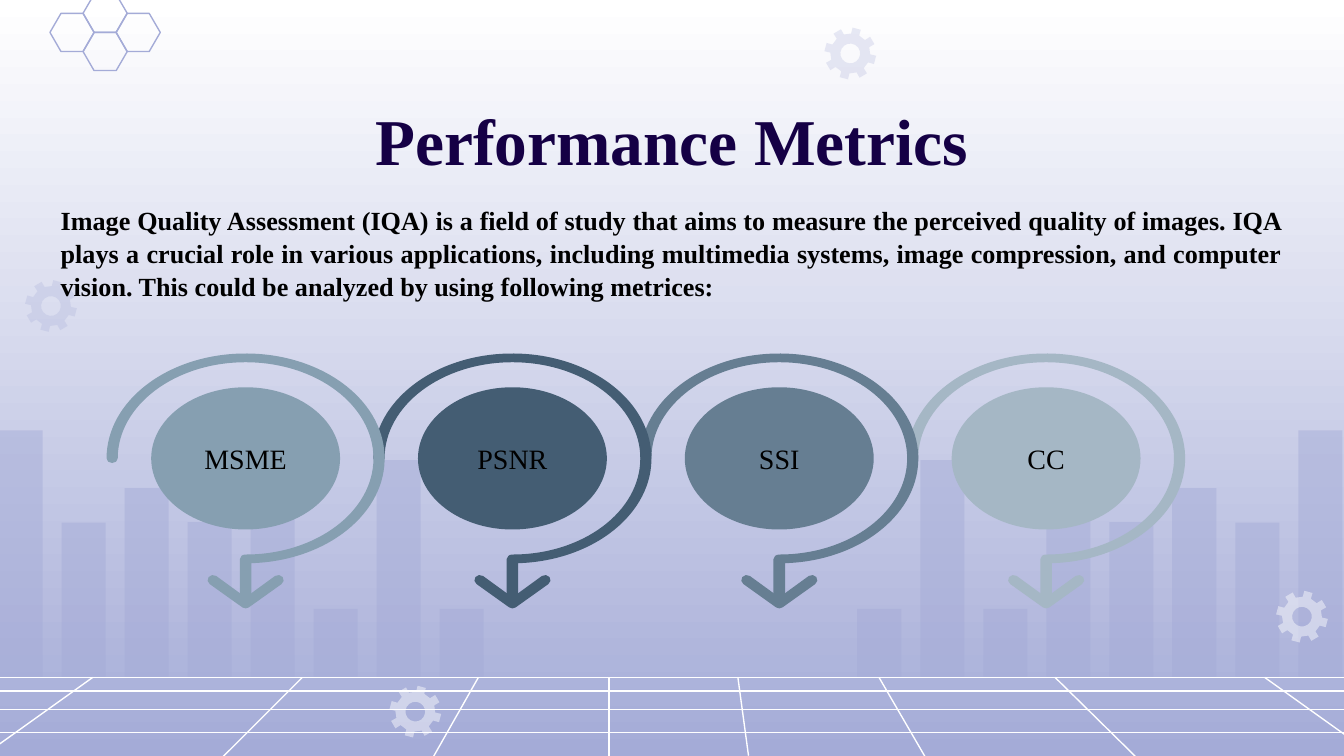
import math

import lxml.etree
import pptx
import pptx.dml.color
import pptx.enum.shapes
import pptx.enum.text
import pptx.oxml.ns
import pptx.util

Pt = pptx.util.Pt
qn = pptx.oxml.ns.qn
Shape = pptx.enum.shapes.MSO_SHAPE
Align = pptx.enum.text.PP_ALIGN
Anchor = pptx.enum.text.MSO_ANCHOR

LAVENDER = "A4ABD7"
WHITE = "FFFFFF"
FONT = "Times New Roman"


def color(hex_string):
    return pptx.dml.color.RGBColor.from_string(hex_string)


def paint(shape, fill, alpha=100):
    shape.shadow.inherit = False
    shape.line.fill.background()
    shape.fill.solid()
    shape.fill.fore_color.rgb = color(fill)
    if alpha < 100:
        tint = shape.fill._xPr.find(qn("a:solidFill"))[0]
        lxml.etree.SubElement(tint, qn("a:alpha"), val=str(alpha * 1000))


def polar(cx, cy, rx, ry, degrees):
    angle = math.radians(degrees)
    return cx + rx * math.cos(angle), cy + ry * math.sin(angle)


def arc(cx, cy, rx, ry, start, end):
    pieces = math.ceil(abs(end - start) / 90)
    sweep = (end - start) / pieces
    pull = 4 / 3 * math.tan(math.radians(sweep) / 4)
    segments = [[polar(cx, cy, rx, ry, start)]]
    for i in range(pieces):
        a, b = start + sweep * i, start + sweep * (i + 1)
        (x1, y1), (x2, y2) = polar(cx, cy, rx, ry, a), polar(cx, cy, rx, ry, b)
        (dx1, dy1), (dx2, dy2) = polar(0, 0, rx, ry, a + 90), polar(0, 0, rx, ry, b + 90)
        segments.append([(x1 + pull * dx1, y1 + pull * dy1),
                         (x2 - pull * dx2, y2 - pull * dy2), (x2, y2)])
    return segments


def lines(*points):
    return [[point] for point in points]


def outline(slide, *contours):
    emu = [[(Pt(x), Pt(y)) for segment in contour for x, y in segment] for contour in contours]
    builder = slide.shapes.build_freeform(*emu[0][0], scale=1.0)
    builder.add_line_segments(emu[0][1:], close=True)
    for points in emu[1:]:
        builder.move_to(*points[0])
        builder.add_line_segments(points[1:], close=True)
    shape = builder.convert_to_shape()
    strokes = iter(shape._element.findall(".//" + qn("a:lnTo")))
    for segment in [segment for contour in contours for segment in contour[1:]]:
        stroke = next(strokes)
        if len(segment) == 3:
            stroke.tag = qn("a:cubicBezTo")
            for extra in (next(strokes), next(strokes)):
                stroke.append(extra[0])
                extra.getparent().remove(extra)
    return shape


def write(frame, text, size, ink, align, bold=False, spacing=None):
    frame.word_wrap = True
    paragraph = frame.paragraphs[0]
    paragraph.alignment = align
    paragraph.line_spacing = spacing
    run = paragraph.add_run()
    run.text = text
    run.font.name = FONT
    run.font.size = Pt(size)
    run.font.bold = bold
    run.font.color.rgb = color(ink)


def text_block(slide, left, top, width, height, inset, *content, **style):
    frame = slide.shapes.add_textbox(Pt(left), Pt(top), Pt(width), Pt(height)).text_frame
    frame.margin_left = frame.margin_right = Pt(7.2)
    frame.margin_top = frame.margin_bottom = Pt(inset)
    write(frame, *content, **style)


def skyline(slide, left, bottom, direction):
    for i, height in enumerate([132, 82.5, 101, 82.8, 116, 36.3, 116, 36.3]):
        bar = slide.shapes.add_shape(Shape.RECTANGLE, Pt(left + direction * i * 33.75),
                                     Pt(bottom - height), Pt(23.6), Pt(height))
        paint(bar, LAVENDER, 47)


def grid_line(slide, x1, y1, x2, y2):
    line = slide.shapes.add_connector(
        pptx.enum.shapes.MSO_CONNECTOR.STRAIGHT, Pt(x1), Pt(y1), Pt(x2), Pt(y2))
    line.line.color.rgb = color(WHITE)
    line.line.width = Pt(0.75)
    lxml.etree.SubElement(line._element.spPr, qn("a:effectLst"))


def floor_grid(slide, left, top, width):
    for drop in (0, 7.2, 17.3, 29.5):
        grid_line(slide, left, top + drop, left + width, top + drop)
    rays = [(-0.7, 36, 49.7), (119.5, 42.5, 162), (231.8, 43.2, 256.3), (326.2, 42.5, 326.2),
            (401, 42, 395.3), (496, 43.2, 470.9), (608.4, 42.5, 565.2), (727.9, 36, 677.5)]
    for near_x, drop, far_x in rays:
        grid_line(slide, left + near_x, top + drop, left + far_x, top)


def gear(slide, cx, cy, fill, alpha):
    rim = lines(*[polar(cx, cy, radius, radius, 30 + 45 * tooth + offset)
                  for tooth in range(8)
                  for radius, offset in ((10.7, -12), (13.9, -9.5), (13.9, 9.5), (10.7, 12))])
    wheel = outline(slide, rim, arc(cx, cy, 5.3, 5.3, 360, 0))
    wheel.rotation = 29.5
    paint(wheel, fill, alpha)


def honeycomb(slide, left, top):
    for dx, dy in ((0, 10.2), (35.4, 10.2), (17.7, 0), (17.7, 20.4)):
        x, y = left + dx, top + dy
        cell = outline(slide, lines((x + 17.8, y), (x + 5.9, y), (x, y + 10.2), (x + 5.9, y + 20.4),
                                    (x + 17.8, y + 20.4), (x + 23.7, y + 10.2)))
        cell.shadow.inherit = False
        cell.fill.background()
        cell.line.color.rgb = color(LAVENDER)
        cell.line.width = Pt(0.75)


def metric(slide, left, top, label, fill):
    cx, cy = left + 74.5, top + 56.2
    disc = slide.shapes.add_shape(
        Shape.OVAL, Pt(cx - 50.6), Pt(cy - 38.1), Pt(101.2), Pt(76.2))
    frame = disc.text_frame
    frame.margin_left = frame.margin_right = frame.margin_top = frame.margin_bottom = Pt(7.2)
    frame.vertical_anchor = Anchor.MIDDLE
    write(frame, label, 15, "000000", Align.CENTER)

    stem_bottom = top + 131
    swirl = outline(
        slide,
        arc(cx, cy, 74.5, 56.2, 180, 447.6)
        + lines((cx + 3.1, stem_bottom), (cx - 3.1, stem_bottom))
        + arc(cx, cy + 54, 3.1, 2.5, 180, 270)
        + arc(cx, cy, 68.5, 51.5, 450, 180)
        + arc(cx - 71.5, cy, 3, 2.5, 0, 180))

    tip, wing = top + 133.9, top + 121.4
    arrowhead = outline(
        slide,
        arc(cx + 17.5, wing, 2.9, 2.7, -126, 54)
        + arc(cx, tip, 2.9, 2.7, 54, 126)
        + arc(cx - 17.5, wing, 2.9, 2.7, 126, 306)
        + lines((cx, tip - 3.2)))
    for part in (disc, swirl, arrowhead):
        paint(part, fill)


def metrics_row(slide, left, top):
    metrics = [("MSME", "869FB1"), ("PSNR", "445D73"), ("SSI", "667E92"), ("CC", "A5B7C5")]
    for i, (label, fill) in reversed(list(enumerate(metrics))):
        metric(slide, left + 142.95 * i, top, label, fill)


def backdrop(slide, width):
    fill = slide.background.fill
    fill.gradient()
    fill.gradient_angle = 270
    for stop, tint in zip(fill.gradient_stops, (WHITE, LAVENDER)):
        stop.color.rgb = color(tint)
    skyline(slide, 695.5, 362.5, -1)
    skyline(slide, -0.7, 362.5, 1)
    floor_grid(slide, 0, 362.9, width)
    for cx, cy, tint, alpha in ((27.3, 164, LAVENDER, 25), (697.5, 330.4, WHITE, 45),
                                (222.5, 381.3, WHITE, 45), (455.5, 28.7, LAVENDER, 25)):
        gear(slide, cx, cy, tint, alpha)
    honeycomb(slide, 26.8, -3)


def main():
    deck = pptx.Presentation()
    deck.slide_width, deck.slide_height = Pt(720), Pt(405)
    slide = deck.slides.add_slide(deck.slide_layouts[6])
    backdrop(slide, 720)
    text_block(slide, 56.7, 42.5, 606.7, 45.4, 7.2, "Performance Metrics",
               35, "150045", Align.CENTER, bold=True, spacing=1.1)
    text_block(slide, 25.4, 105.1, 668.9, 58.3, 3.6,
               "Image Quality Assessment (IQA) is a field of study that aims to measure the "
               "perceived quality of images. IQA plays a crucial role in various applications, "
               "including multimedia systems, image compression, and computer vision. This could "
               "be analyzed by using following metrices:",
               14, "000000", Align.JUSTIFY, bold=True, spacing=1.05)
    metrics_row(slide, 57.1, 189.4)
    deck.save("out.pptx")


if __name__ == "__main__":
    main()
